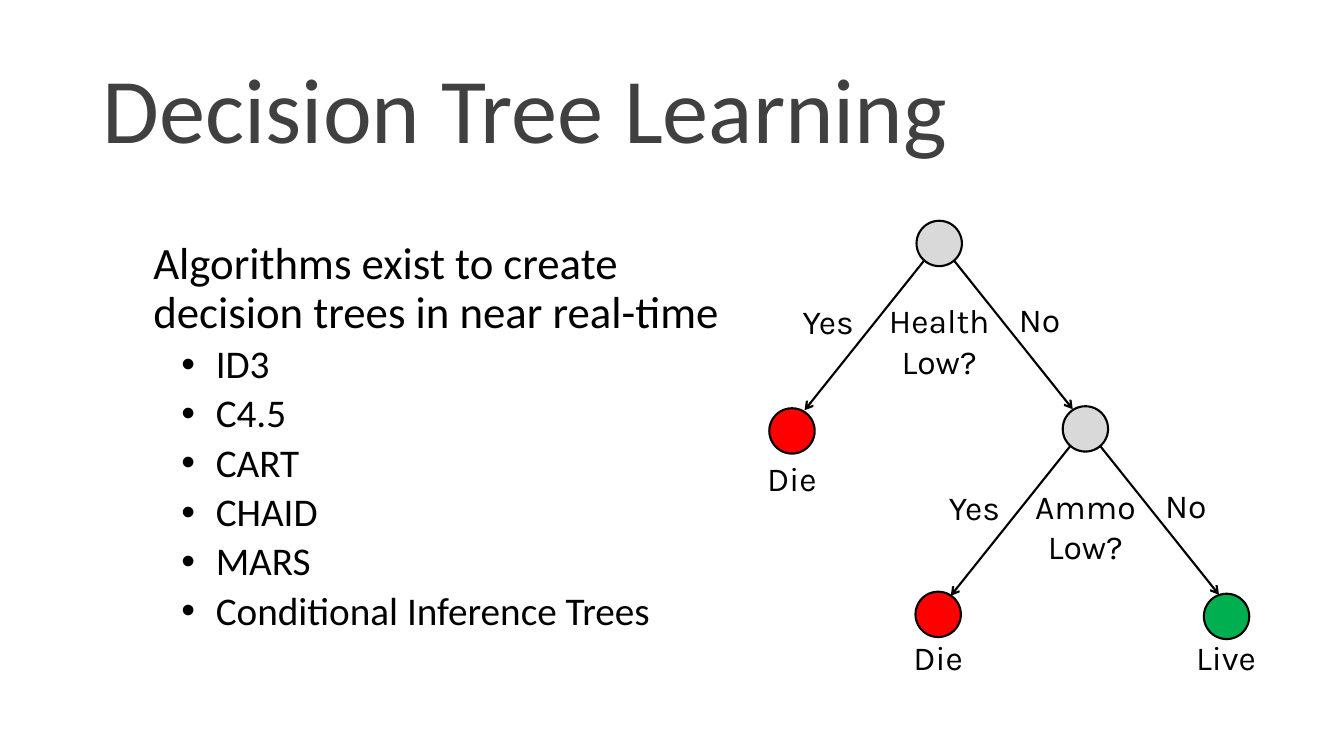
from pptx import Presentation
from pptx.dml.color import RGBColor
from pptx.enum.shapes import MSO_CONNECTOR as Connector, MSO_SHAPE as Shape
from pptx.enum.text import MSO_ANCHOR as Anchor, MSO_AUTO_SIZE as AutoSize, PP_ALIGN as Align
from pptx.oxml.ns import qn
from pptx.util import Pt
from lxml import etree

PX = 9144
NODE = 45
COLORS = {
    "title": "404040",
    "ink": "000000",
    "decision": "D9D9D9",
    "die": "FF0000",
    "live": "00B050",
}
ALGORITHMS = ["ID3", "C4.5", "CART", "CHAID", "MARS", "Conditional Inference Trees"]


def px(*lengths):
    return [length * PX for length in lengths]


def rgb(name):
    return RGBColor.from_string(COLORS[name])


def style_runs(paragraph, font_name, size, color):
    for run in paragraph.runs:
        run.font.name = font_name
        run.font.size = Pt(size)
        run.font.color.rgb = rgb(color)


def place(shape, box):
    shape.left, shape.top, shape.width, shape.height = px(*box)


def set_bullet(paragraph, margin, indent, bullet=None):
    properties = paragraph._p.get_or_add_pPr()
    properties.set("marL", str(margin * PX))
    properties.set("indent", str(indent * PX))
    if bullet:
        font = etree.SubElement(properties, qn("a:buFont"))
        font.set("typeface", "Arial")
        etree.SubElement(properties, qn("a:buChar")).set("char", bullet)
    else:
        etree.SubElement(properties, qn("a:buNone"))


def add_title(slide, box):
    title = slide.shapes.title
    place(title, box)
    frame = title.text_frame
    frame.text = "Decision Tree Learning"
    frame.auto_size = AutoSize.NONE
    frame.vertical_anchor = Anchor.MIDDLE
    paragraph = frame.paragraphs[0]
    paragraph.alignment = Align.LEFT
    paragraph.line_spacing = 0.9
    style_runs(paragraph, "Calibri", 66, "title")


def add_algorithms(slide, box):
    body = slide.placeholders[1]
    place(body, box)
    frame = body.text_frame
    intro = "Algorithms exist to create decision trees in near real-time"
    frame.text = "\n".join([intro] + ALGORITHMS)
    frame.auto_size = AutoSize.NONE
    for index, paragraph in enumerate(frame.paragraphs):
        paragraph.level = 1
        paragraph.line_spacing = 0.9
        paragraph.space_before = Pt(5)
        if index == 0:
            set_bullet(paragraph, 22, 0)
        else:
            set_bullet(paragraph, 84, -34, "•")
        style_runs(paragraph, "Calibri", 28 if index else 32, "ink")


def add_label(slide, text, box):
    label = slide.shapes.add_textbox(*px(*box))
    frame = label.text_frame
    frame.word_wrap = True
    frame.auto_size = AutoSize.SHAPE_TO_FIT_TEXT
    frame.text = text
    for paragraph in frame.paragraphs:
        paragraph.alignment = Align.CENTER
        style_runs(paragraph, "Karla", 24, "ink")


def add_node(slide, left, top, color):
    node = slide.shapes.add_shape(Shape.OVAL, *px(left, top, NODE, NODE))
    node.shadow.inherit = False
    node.fill.solid()
    node.fill.fore_color.rgb = rgb(color)
    node.line.color.rgb = rgb("ink")
    node.line.width = Pt(1.5)


def add_leaf(slide, left, top, color, text, width, drop):
    add_node(slide, left, top, color)
    add_label(slide, text, (left + (NODE - width) // 2, top + drop, width, 51))


def add_arrow(slide, start, end):
    arrow = slide.shapes.add_connector(Connector.STRAIGHT, *px(*start, *end))
    arrow.line.color.rgb = rgb("ink")
    arrow.line.width = Pt(1.5)
    tail = etree.SubElement(arrow.line._get_or_add_ln(), qn("a:tailEnd"))
    tail.set("type", "arrow")
    etree.SubElement(arrow._element.spPr, qn("a:effectLst"))


def add_decision(slide, left, top, question):
    add_arrow(slide, (left + 8, top + 39), (left - 111, top + 188))
    add_arrow(slide, (left + 36, top + 38), (left + 155, top + 187))
    add_node(slide, left, top, "decision")
    add_label(slide, "Yes", (left - 136, top + 75, 97, 51))
    add_label(slide, "No", (left + 80, top + 73, 84, 51))
    add_label(slide, question, (left - 52, top + 74, 149, 91))


def add_tree(slide, box):
    left, top = box[:2]
    add_decision(slide, left + 170, top, "Health\nLow?")
    add_decision(slide, left + 315, top + 184, "Ammo\nLow?")
    add_leaf(slide, left + 24, top + 186, "die", "Die", 93, 44)
    add_leaf(slide, left + 169, top + 368, "die", "Die", 93, 40)
    add_leaf(slide, left + 455, top + 370, "live", "Live", 106, 38)


def main():
    presentation = Presentation()
    presentation.slide_width, presentation.slide_height = px(1333, 750)
    slide = presentation.slides.add_slide(presentation.slide_layouts[1])
    add_title(slide, (92, 40, 1150, 145))
    add_algorithms(slide, (120, 234, 619, 472))
    add_tree(slide, (739, 219, 530, 459))
    presentation.save("out.pptx")


if __name__ == "__main__":
    main()
